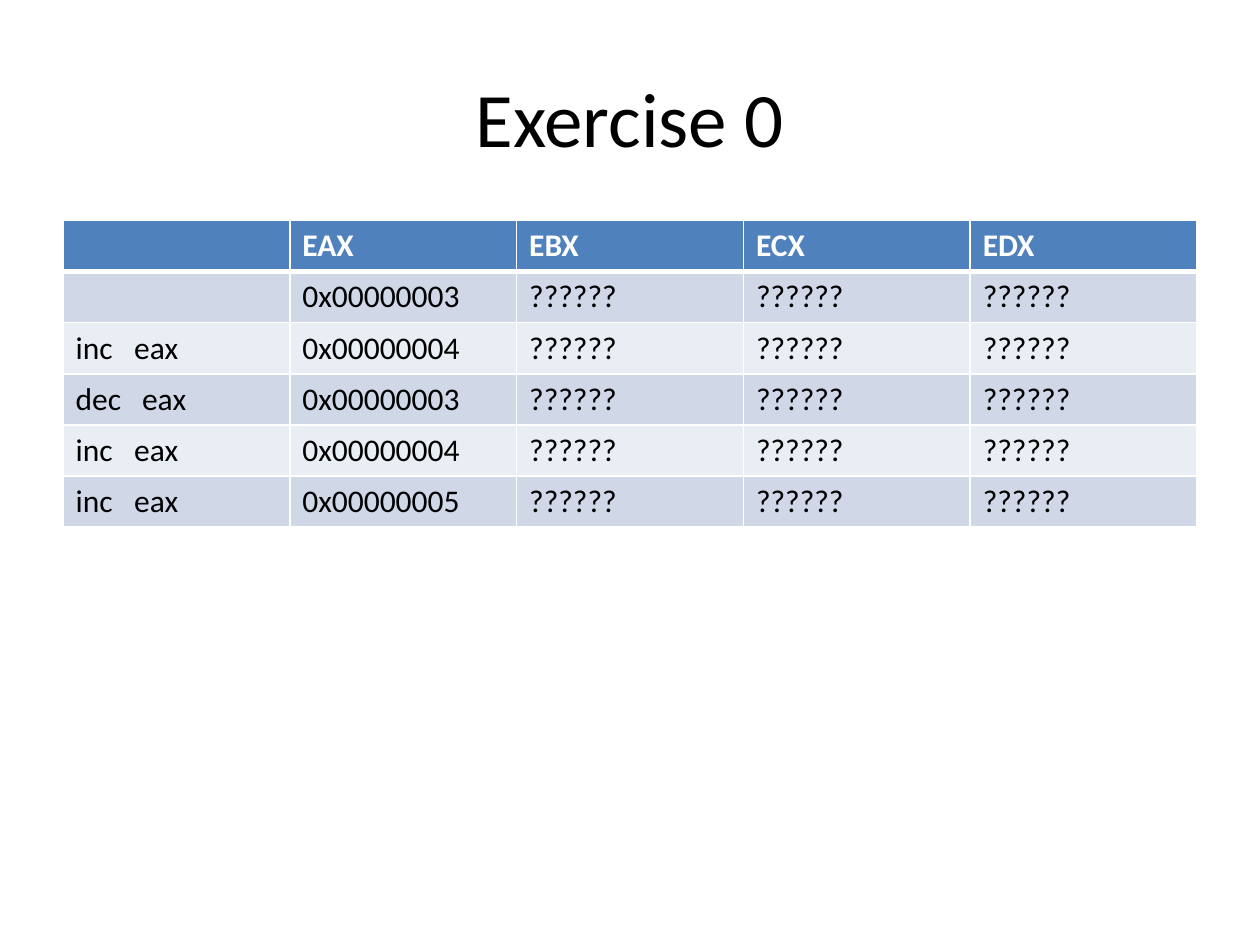
from lxml import etree
from pptx import Presentation
from pptx import util as u
from pptx.dml.color import RGBColor
from pptx.enum import text
from pptx.oxml import ns

BLACK = RGBColor(0x00, 0x00, 0x00)
WHITE = RGBColor(0xFF, 0xFF, 0xFF)
BLUE = RGBColor(0x4F, 0x81, 0xBD)
BANDS = RGBColor(0xE9, 0xED, 0xF4), RGBColor(0xD0, 0xD8, 0xE8)

HEADS = ["", "EAX", "EBX", "ECX", "EDX"]
STEPS = [("", 3), ("inc", 4), ("dec", 3), ("inc", 4), ("inc", 5)]
STOPS = {"inc": 33.5, "dec": 38}


class Deck:
    face = "Calibri"

    def __init__(self, wide, high):
        self.prs = Presentation()
        self.prs.slide_width, self.prs.slide_height = u.Pt(wide), u.Pt(high)
        self.slide = self.prs.slides.add_slide(self.prs.slide_layouts[6])

    def label(self, para, words, size, color, bold=False):
        para.text = words
        font = para.font
        font.name, font.size, font.bold = self.face, u.Pt(size), bold
        font.color.rgb = color

    def title(self, words, x, y, w, h):
        box = self.slide.shapes.add_textbox(*map(u.Pt, (x, y, w, h)))
        frame = box.text_frame
        frame.word_wrap = True
        frame.vertical_anchor = text.MSO_ANCHOR.MIDDLE
        para = frame.paragraphs[0]
        para.alignment = text.PP_ALIGN.CENTER
        self.label(para, words, 44, BLACK)

    def stop(self, para, pos):
        tabs = etree.Element(ns.qn("a:tabLst"))
        etree.SubElement(tabs, ns.qn("a:tab"), pos=str(u.Pt(pos)), algn="l")
        para._p.get_or_add_pPr().insert(0, tabs)

    def border(self, cell, top, base):
        props = cell._tc.get_or_add_tcPr()
        sides = {"lnL": 1, "lnR": 1, "lnT": top, "lnB": base}
        for spot, (side, width) in enumerate(sides.items()):
            line = etree.Element(ns.qn(f"a:{side}"), w=str(u.Pt(width)))
            fill = etree.SubElement(line, ns.qn("a:solidFill"))
            etree.SubElement(fill, ns.qn("a:srgbClr"), val=str(WHITE))
            props.insert(spot, line)

    def table(self, rows, x, y, w, h):
        size = len(rows), len(rows[0])
        grid = self.slide.shapes.add_table(*size, *map(u.Pt, (x, y, w, h))).table
        for r, row in enumerate(rows):
            head = r == 0
            for c, words in enumerate(row):
                cell = grid.cell(r, c)
                cell.fill.solid()
                cell.fill.fore_color.rgb = BLUE if head else BANDS[r % 2]
                self.border(cell, 3 if r == 1 else 1, 3 if head else 1)
                para = cell.text_frame.paragraphs[0]
                self.label(para, words, 18, WHITE if head else BLACK, head)
                if "\t" in words:
                    self.stop(para, STOPS[words.split("\t")[0]])


def main():
    deck = Deck(720, 540)
    deck.title("Exercise 0", 36, 21.6, 648, 90)
    rows = [HEADS]
    for verb, value in STEPS:
        code = f"{verb}\teax" if verb else ""
        rows.append([code, f"0x{value:08x}"] + ["??????"] * 3)
    deck.table(rows, 36, 126, 648, 175.2)
    deck.prs.save("out.pptx")


if __name__ == "__main__":
    main()
